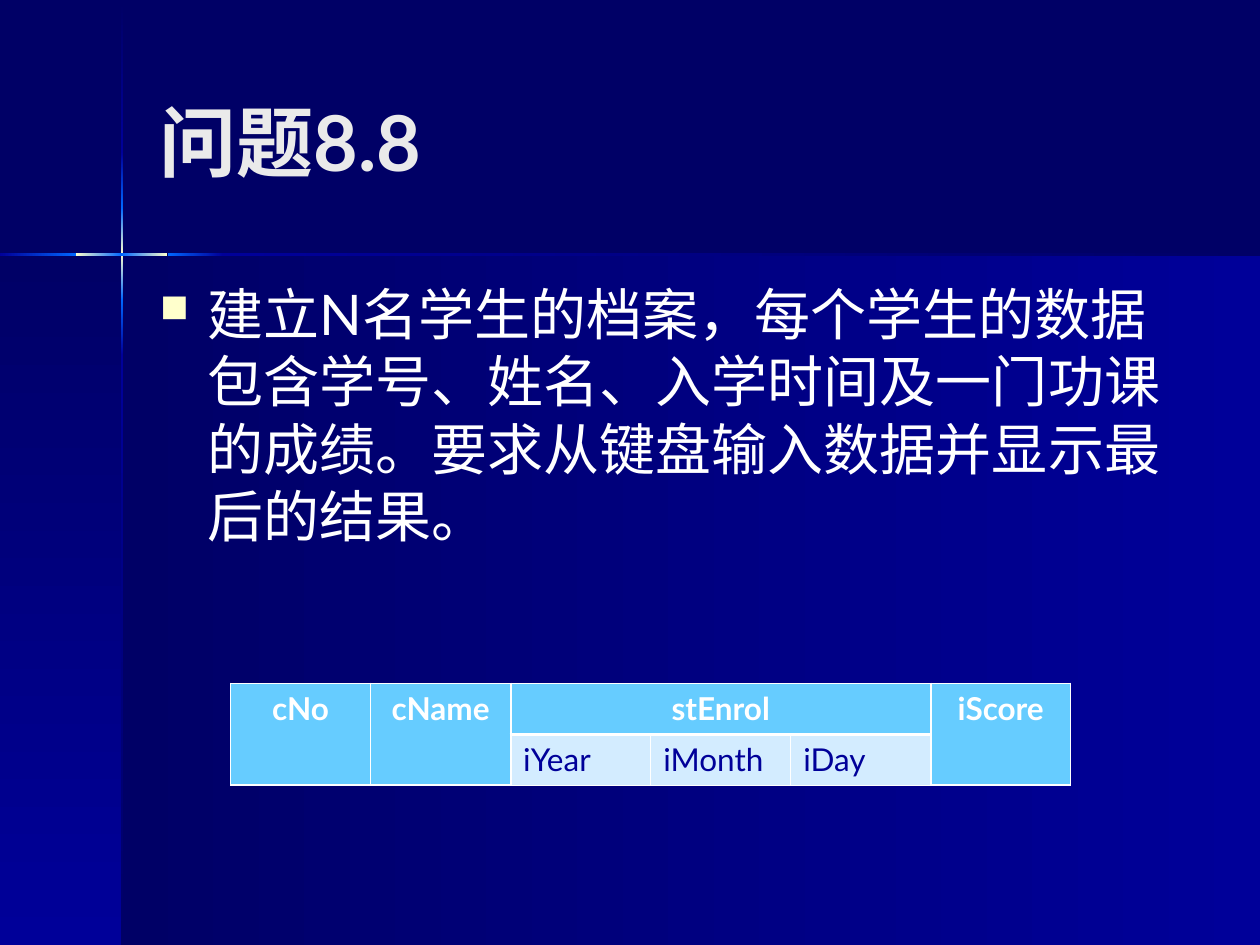
from lxml import etree
from pptx import Presentation
from pptx.dml.color import RGBColor
from pptx.enum.lang import MSO_LANGUAGE_ID
from pptx.enum.shapes import MSO_SHAPE
from pptx.enum.text import MSO_ANCHOR, PP_ALIGN
from pptx.oxml.ns import qn
from pptx.util import Inches, Pt

RECTANGLE = MSO_SHAPE.RECTANGLE
MIDDLE, TOP = MSO_ANCHOR.MIDDLE, MSO_ANCHOR.TOP
CENTER, LEFT = PP_ALIGN.CENTER, PP_ALIGN.LEFT
CHINESE = MSO_LANGUAGE_ID.SIMPLIFIED_CHINESE

FONT = "Lato"
NAVY, BLUE, GLOW, CREAM = "000066", "000099", "0066FF", "FFFFCC"
WHITE, TITLE_GREY = "FFFFFF", "EAEAEA"
HEADER_FILL, FIELD_FILL = "66CCFF", "D3ECFF"
ACROSS, DOWN = 0, 90
THIN, THICK = 0.45, 1.47

PANELS = [
    ((0.97, 2.02, 9.03, 5.48), (NAVY, BLUE), ACROSS),
    ((0, 2.02, 0.97, 5.48), (NAVY, BLUE), DOWN),
]
# Start, length and gradient colours along each beam
VERTICAL_BEAM = [
    (0.01, 1.2, (NAVY, BLUE)),
    (2.82, 4.68, (BLUE, NAVY)),
    (2.38, 0.44, (GLOW, BLUE)),
    (1.21, 0.44, (BLUE, GLOW)),
    (1.65, 0.73, (GLOW, CREAM, GLOW)),
]
HORIZONTAL_BEAM = [
    (1.77, 8.23, (BLUE, NAVY)),
    (0, 0.61, (BLUE, GLOW)),
    (1.33, 0.44, (GLOW, BLUE)),
    (0.6, 0.73, (CREAM, GLOW, CREAM)),
]
BEAM_X, BEAM_Y, BEAM_WIDTH = 0.96, 2.01, 0.02

# Name, row, column, row span, column span, sides with a thick border
HEADERS = [
    ("cNo", 0, 0, 2, 1, "B"),
    ("cName", 0, 1, 2, 1, "RB"),
    ("stEnrol", 0, 2, 1, 3, "B"),
    ("iScore", 0, 5, 2, 1, "LB"),
]
FIELDS = [
    ("iYear", 1, 2, 1, 1, "LT"),
    ("iMonth", 1, 3, 1, 1, "T"),
    ("iDay", 1, 4, 1, 1, "RT"),
]


def rgb(value):
    return RGBColor.from_string(value)


def add_gradient_block(slide, box, colors, angle):
    block = slide.shapes.add_shape(RECTANGLE, *map(Inches, box))
    block.shadow.inherit = False
    block.line.fill.background()
    block.fill.gradient()
    block.fill.gradient_angle = -angle % 360
    stops = next(block._element.spPr.iter(qn("a:gsLst")))
    for stop in list(stops):
        stops.remove(stop)
    for index, color in enumerate(colors):
        position = 100000 * index // (len(colors) - 1)
        stop = etree.SubElement(stops, qn("a:gs"), pos=str(position))
        etree.SubElement(stop, qn("a:srgbClr"), val=color)


def write_text(paragraph, text, color, **font_format):
    run = paragraph.add_run()
    run.text = text
    run.font.color.rgb = rgb(color)
    for name, value in {"name": FONT, **font_format}.items():
        setattr(run.font, name, value)
    properties = run._r.get_or_add_rPr()
    etree.SubElement(properties, qn("a:ea"), typeface=FONT)


def add_text_area(slide, box, anchor):
    """Add a wrapping text box and return its first paragraph."""
    frame = slide.shapes.add_textbox(*map(Inches, box)).text_frame
    frame.word_wrap = True
    frame.vertical_anchor = anchor
    return frame.paragraphs[0]


def add_square_bullet(paragraph, color, percent, indent):
    properties = paragraph._p.get_or_add_pPr()
    properties.set("marL", str(Inches(indent)))
    properties.set("indent", str(Inches(-indent)))
    bullet_color = etree.SubElement(properties, qn("a:buClr"))
    etree.SubElement(bullet_color, qn("a:srgbClr"), val=color)
    etree.SubElement(properties, qn("a:buSzPct"), val=str(percent * 1000))
    etree.SubElement(properties, qn("a:buChar"), char="■")


def set_borders(cell, thick_sides):
    properties = cell._tc.get_or_add_tcPr()
    for index, side in enumerate("LRTB"):
        width = Pt(THICK if side in thick_sides else THIN)
        line = etree.Element(qn(f"a:ln{side}"), w=str(width))
        fill = etree.SubElement(line, qn("a:solidFill"))
        etree.SubElement(fill, qn("a:srgbClr"), val=WHITE)
        properties.insert(index, line)


def fill_cells(table, entries, fill, color, bold, alignment):
    for name, row, column, row_span, column_span, thick_sides in entries:
        for r in range(row, row + row_span):
            for c in range(column, column + column_span):
                cell = table.cell(r, c)
                cell.fill.solid()
                cell.fill.fore_color.rgb = rgb(fill)
                set_borders(cell, thick_sides)
        origin = table.cell(row, column)
        if row_span * column_span > 1:
            origin.merge(table.cell(row + row_span - 1, column + column_span - 1))
        paragraph = origin.text_frame.paragraphs[0]
        paragraph.alignment = alignment
        write_text(paragraph, name, color, size=Pt(18), bold=bold)


def add_record_table(slide):
    box = map(Inches, (1.83, 5.42, 6.67, 0.81))
    table = slide.shapes.add_table(2, 6, *box).table
    for column in table.columns:
        column.width = Inches(6.67 / 6)
    for row, height in zip(table.rows, (0.41, 0.4)):
        row.height = Inches(height)
    fill_cells(table, HEADERS, HEADER_FILL, WHITE, True, CENTER)
    fill_cells(table, FIELDS, FIELD_FILL, BLUE, False, LEFT)


def add_backdrop(slide):
    slide.background.fill.solid()
    slide.background.fill.fore_color.rgb = rgb(NAVY)
    for box, colors, angle in PANELS:
        add_gradient_block(slide, box, colors, angle)
    for start, length, colors in VERTICAL_BEAM:
        add_gradient_block(slide, (BEAM_X, start, BEAM_WIDTH, length), colors, DOWN)
    for start, length, colors in HORIZONTAL_BEAM:
        add_gradient_block(slide, (start, BEAM_Y, length, BEAM_WIDTH), colors, ACROSS)


def main():
    presentation = Presentation()
    presentation.slide_width, presentation.slide_height = Inches(10), Inches(7.5)
    slide = presentation.slides.add_slide(presentation.slide_layouts[6])
    add_backdrop(slide)

    title = add_text_area(slide, (1.17, 0.33, 8.25, 1.57), MIDDLE)
    write_text(title, "问题8.8", TITLE_GREY, size=Pt(44), bold=True, language_id=CHINESE)

    task = add_text_area(slide, (1.17, 2.17, 8.25, 4.5), TOP)
    add_square_bullet(task, CREAM, 70, 0.38)
    write_text(
        task,
        "建立N名学生的档案，每个学生的数据包含学号、姓名、入学时间及一门功课的成绩。"
        "要求从键盘输入数据并显示最后的结果。",
        WHITE, size=Pt(32), language_id=CHINESE,
    )

    add_record_table(slide)
    presentation.save("out.pptx")


if __name__ == "__main__":
    main()
